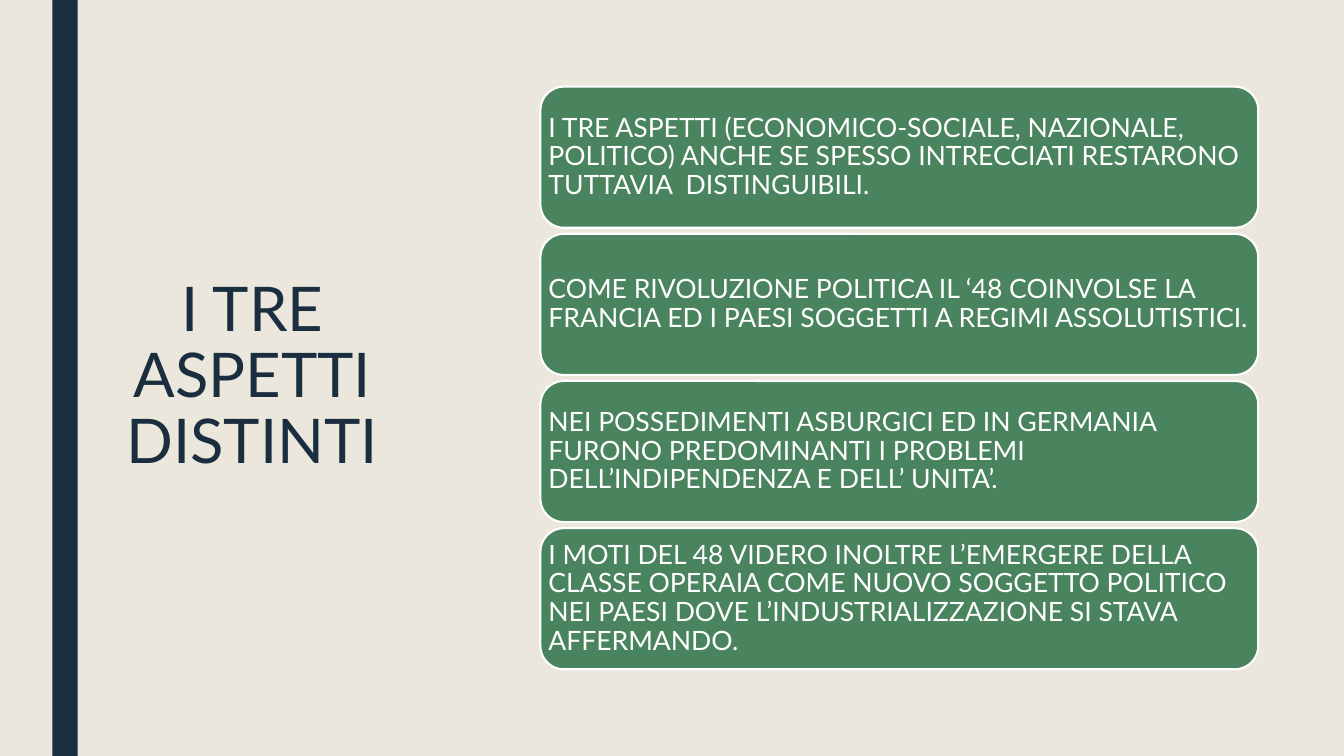
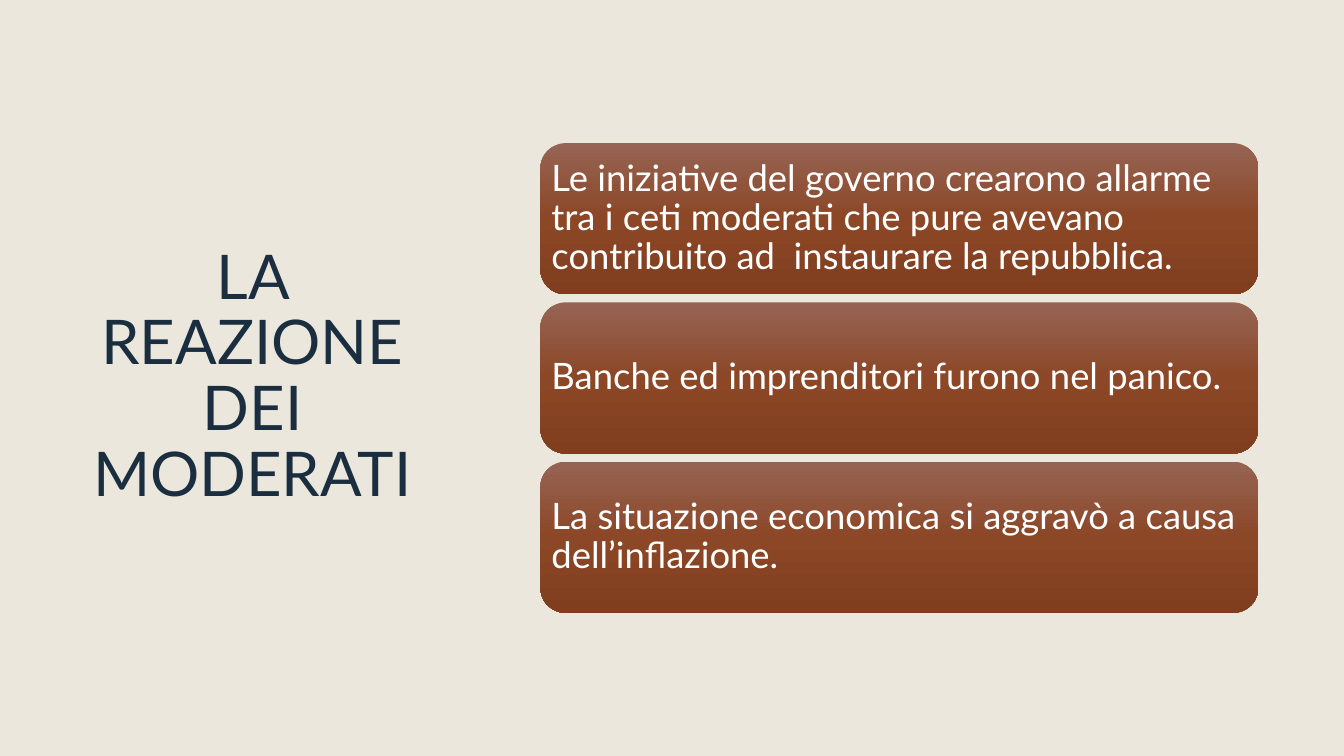
from copy import deepcopy

from pptx import Presentation
from pptx import util as u
from pptx.dml.color import RGBColor
from pptx.enum import shapes, text
from pptx.oxml.ns import qn

WIDTH, HEIGHT = 13.33, 7.5
FONT = "Lato"
PAPER, NAVY, WHITE, GREEN = "EBE7DD", "1A2E40", "FFFFFF", "4A845E"
RUST = ["966454", "8C4727", "803E1F"]  # gradient, top to bottom
CARD_LEFT, CARD_WIDTH = 5.36, 7.12
CORNER_INSET = 0.0488  # text inset of a rounded corner, as a share of the height


def color(hex_string):
    return RGBColor.from_string(hex_string)


def write(frame, words, size, hex_string, align, spacing):
    frame.word_wrap = True
    frame.auto_size = text.MSO_AUTO_SIZE.NONE
    frame.vertical_anchor = text.MSO_ANCHOR.MIDDLE
    paragraph = frame.paragraphs[0]
    paragraph.alignment = align
    paragraph.line_spacing = spacing
    run = paragraph.add_run()
    run.text = words
    run.font.name = FONT
    run.font.size = u.Pt(size)
    run.font.color.rgb = color(hex_string)


topics = [
    dict(
        title="I TRE ASPETTI DISTINTI", band=True, fill=[GREEN],
        height=1.4, gap=0.06, size=19, inset=0.08,
        cards=[
            "I TRE ASPETTI (ECONOMICO-SOCIALE, NAZIONALE, POLITICO) ANCHE SE "
            "SPESSO INTRECCIATI RESTARONO TUTTAVIA  DISTINGUIBILI.",
            "COME RIVOLUZIONE POLITICA IL ‘48 COINVOLSE LA FRANCIA ED I PAESI "
            "SOGGETTI A REGIMI ASSOLUTISTICI.",
            "NEI POSSEDIMENTI ASBURGICI ED IN GERMANIA FURONO PREDOMINANTI I "
            "PROBLEMI DELL’INDIPENDENZA E DELL’ UNITA’.",
            "I MOTI DEL 48 VIDERO INOLTRE L’EMERGERE DELLA CLASSE OPERAIA COME "
            "NUOVO SOGGETTO POLITICO NEI PAESI DOVE L’INDUSTRIALIZZAZIONE SI "
            "STAVA AFFERMANDO.",
        ],
    ),
    dict(
        title="LA REAZIONE DEI MODERATI", band=False, fill=RUST,
        height=1.5, gap=0.08, size=26, inset=0.11,
        cards=[
            "Le iniziative del governo crearono allarme tra i ceti moderati che "
            "pure avevano contribuito ad  instaurare la repubblica.",
            "Banche ed imprenditori furono nel panico.",
            "La situazione economica si aggravò a causa dell’inflazione.",
        ],
    ),
]

prs = Presentation()
prs.slide_width, prs.slide_height = u.Inches(WIDTH), u.Inches(HEIGHT)

# Shared background
paper = prs.slide_master.background.fill
paper.solid()
paper.fore_color.rgb = color(PAPER)

for topic in topics:
    slide = prs.slides.add_slide(prs.slide_layouts[5])

    # Vertical band
    if topic["band"]:
        band = slide.shapes.add_shape(
            shapes.MSO_SHAPE.RECTANGLE,
            u.Inches(0.52), 0, u.Inches(0.25), prs.slide_height)
        band.shadow.inherit = False
        band.fill.solid()
        band.fill.fore_color.rgb = color(NAVY)
        band.line.fill.background()

    # Title
    title = slide.shapes.title
    title.left, title.top = u.Inches(0.7), u.Inches(0.7)
    title.width, title.height = u.Inches(3.61), u.Inches(HEIGHT - 2 * 0.7)
    write(title.text_frame, topic["title"], 44, NAVY, text.PP_ALIGN.CENTER, 0.89)

    # Stack of cards, centred on the slide's height
    height, gap, count = topic["height"], topic["gap"], len(topic["cards"])
    first_top = (HEIGHT - count * height - (count - 1) * gap) / 2
    for row, words in enumerate(topic["cards"]):
        card = slide.shapes.add_shape(
            shapes.MSO_SHAPE.ROUNDED_RECTANGLE,
            u.Inches(CARD_LEFT), u.Inches(first_top + row * (height + gap)),
            u.Inches(CARD_WIDTH), u.Inches(height))
        card.shadow.inherit = False

        if len(topic["fill"]) == 1:
            card.fill.solid()
            card.fill.fore_color.rgb = color(topic["fill"][0])
            card.line.color.rgb = color(WHITE)
            card.line.width = u.Pt(1.5)
        else:
            card.fill.gradient()
            card.fill.gradient_angle = 270
            stop_list = card.element.spPr.find(qn("a:gradFill")).find(qn("a:gsLst"))
            stop_list.append(deepcopy(stop_list[-1]))
            for index, stop in enumerate(card.fill.gradient_stops):
                stop.position = index / (len(topic["fill"]) - 1)
                stop.color.rgb = color(topic["fill"][index])
            card.line.fill.background()

        frame = card.text_frame
        inset = u.Inches(topic["inset"] - CORNER_INSET * height)
        frame.margin_left = frame.margin_right = inset
        frame.margin_top = frame.margin_bottom = inset
        write(frame, words, topic["size"], WHITE, text.PP_ALIGN.LEFT, 0.9)

prs.save("out.pptx")
